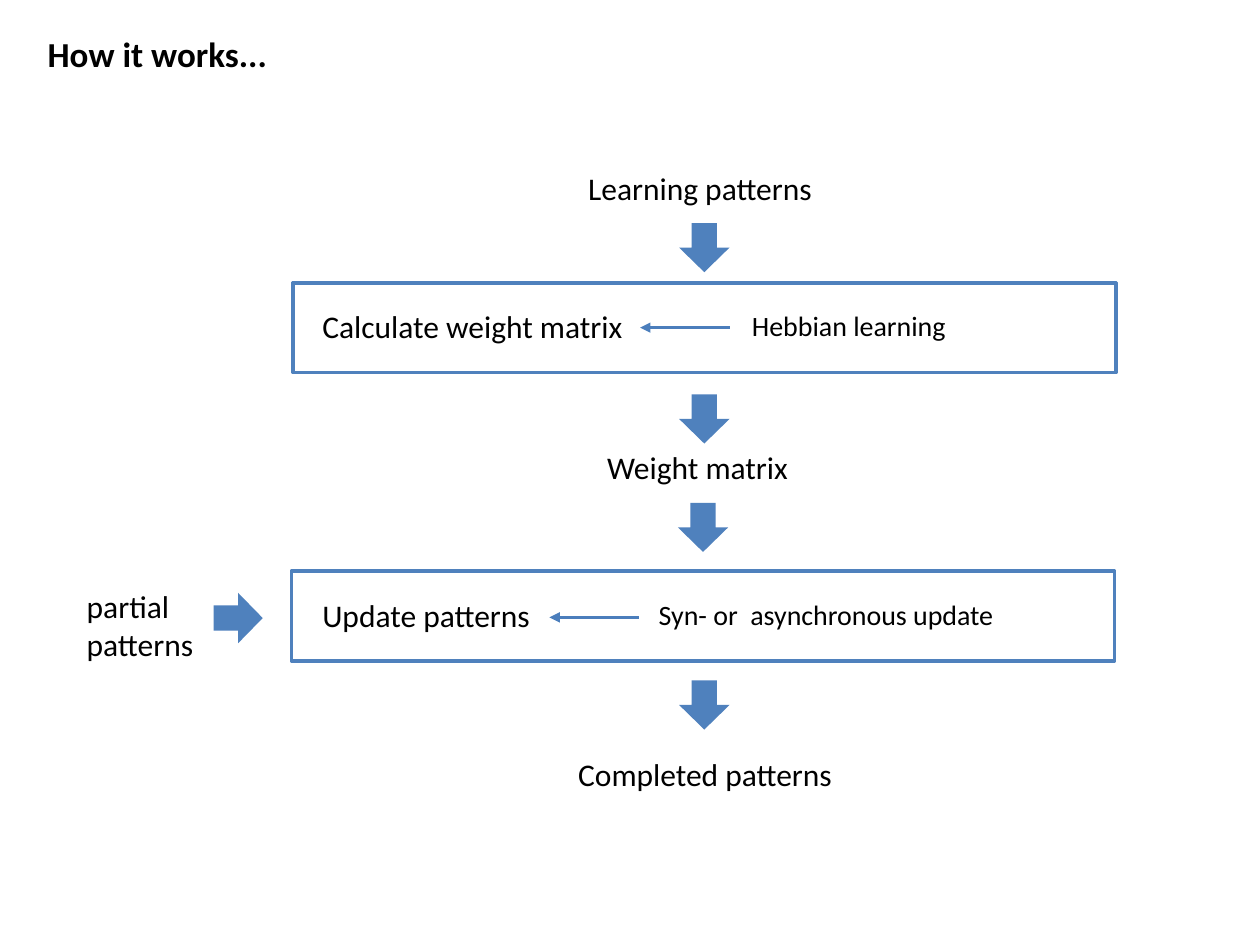
"""Build the "How it works" flow slide for pattern learning and recall."""
from lxml import etree
from pptx import Presentation
from pptx.dml.color import RGBColor
from pptx.enum import shapes, text
from pptx.oxml import ns
from pptx.util import Inches, Pt

FONT = "Calibri"
COLORS = {"ink": "000000", "accent": "4F81BD", "link": "4B7EBC"}

TITLE = ("How it works...", 0.28, 0.21, 8.98, 0.44)
LABELS = [
    ("Learning patterns", 4.57, 1.29, 2, 0.4),
    ("Calculate weight matrix", 2.46, 2.39, 2.61, 0.4),
    ("Weight matrix", 4.72, 3.51, 1.65, 0.4),
    ("Update patterns", 2.46, 4.68, 1.87, 0.4),
    ("partial\npatterns", 0.59, 4.61, 1.06, 0.71),
    ("Completed patterns", 4.49, 5.94, 2.25, 0.4),
]
METHODS = [
    ("Hebbian learning", 5.87, 2.4, 1.76, 0.37),
    ("Syn- or  asynchronous update", 5.13, 4.69, 2.94, 0.37),
]
FRAMES = [(2.32, 2.24), (2.31, 4.53)]
FRAME_SIZE = (6.54, 0.72)
BLOCK_ARROWS = [
    (5.39, 1.77, 0),
    (5.39, 3.13, 0),
    (5.38, 3.99, 0),
    (5.39, 5.4, 0),
    (1.69, 4.71, 270),
]
ARROW_SIZE = (0.4, 0.39)
METHOD_LINKS = [(5.79, 2.6), (5.07, 4.9)]
LINK_LENGTH = 0.71


def rgb(name):
    return RGBColor.from_string(COLORS[name])


def add_label(page, words, left, top, width, height, size, bold=False, wrap=False):
    box = page.shapes.add_textbox(*map(Inches, (left, top, width, height)))
    frame = box.text_frame
    frame.text = words
    frame.word_wrap = wrap
    frame.auto_size = text.MSO_AUTO_SIZE.SHAPE_TO_FIT_TEXT
    for para in frame.paragraphs:
        for span in para.runs:
            span.font.name = FONT
            span.font.size = Pt(size)
            span.font.bold = bold
            span.font.color.rgb = rgb("ink")


def add_solid(page, kind, left, top, size):
    shape = page.shapes.add_shape(kind, *map(Inches, (left, top, *size)))
    shape.shadow.inherit = False
    shape.fill.solid()
    shape.fill.fore_color.rgb = rgb("accent")
    shape.line.fill.background()
    return shape


def add_frame(page, left, top):
    shape = add_solid(page, shapes.MSO_SHAPE.FRAME, left, top, FRAME_SIZE)
    shape.adjustments[0] = 0.012
    shape.line.color.rgb = rgb("accent")
    shape.line.width = Pt(1.5)


def add_link(page, right, y):
    ends = map(Inches, (right, y, right - LINK_LENGTH, y))
    link = page.shapes.add_connector(shapes.MSO_CONNECTOR.STRAIGHT, *ends)
    link.line.color.rgb = rgb("link")
    link.line.width = Pt(1.5)
    etree.SubElement(link.line._get_or_add_ln(), ns.qn("a:tailEnd"), type="triangle")
    etree.SubElement(link._element.spPr, ns.qn("a:effectLst"))


def main():
    deck = Presentation()
    deck.slide_width, deck.slide_height = Inches(10), Inches(7.5)
    page = deck.slides.add_slide(deck.slide_layouts[6])
    add_label(page, *TITLE, size=20, bold=True, wrap=True)
    for corner in FRAMES:
        add_frame(page, *corner)
    for left, top, turn in BLOCK_ARROWS:
        arrow = add_solid(page, shapes.MSO_SHAPE.DOWN_ARROW, left, top, ARROW_SIZE)
        arrow.rotation = turn
    for start in METHOD_LINKS:
        add_link(page, *start)
    for size, group in ((18, LABELS), (16, METHODS)):
        for label in group:
            add_label(page, *label, size=size)
    deck.save("out.pptx")


if __name__ == "__main__":
    main()
